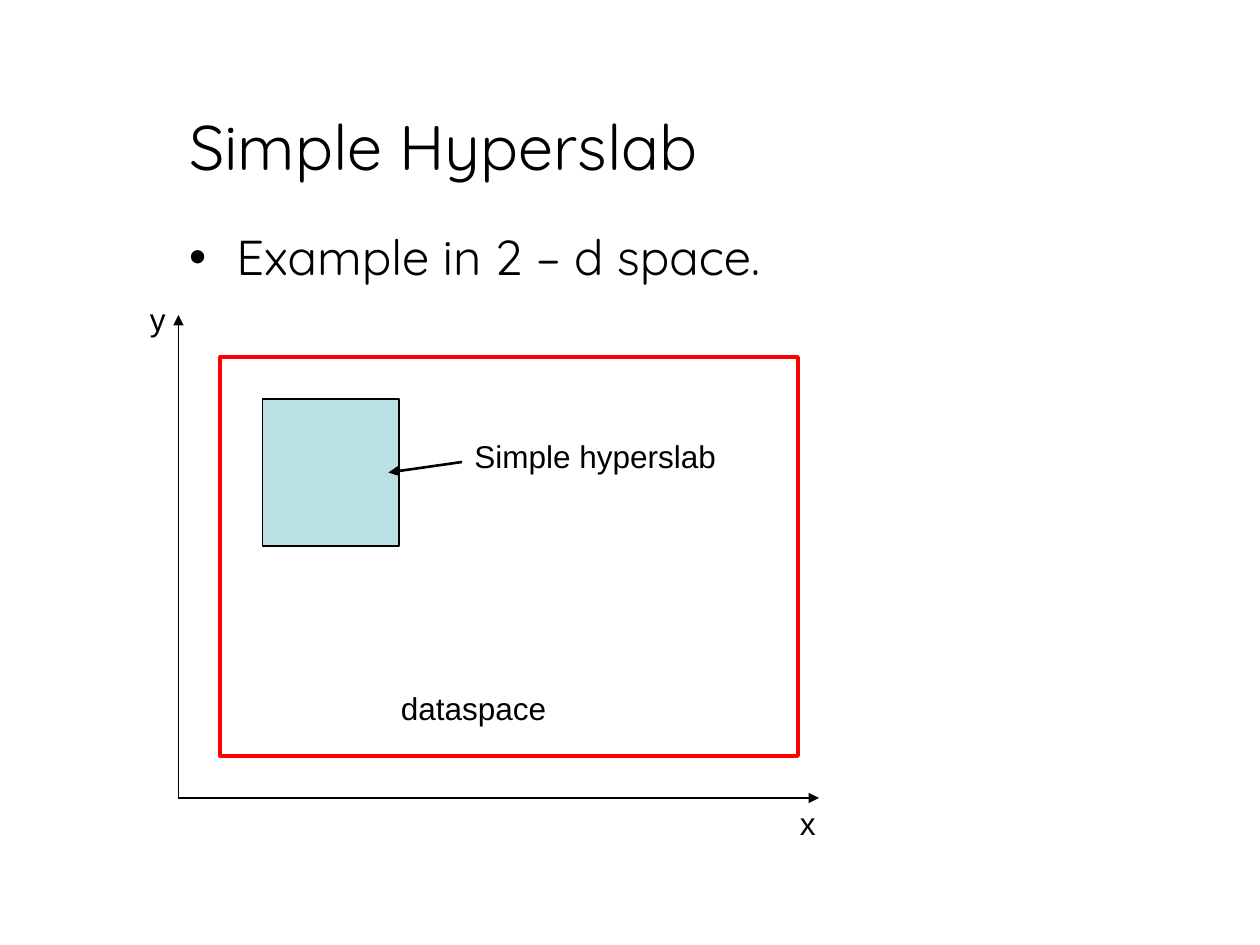
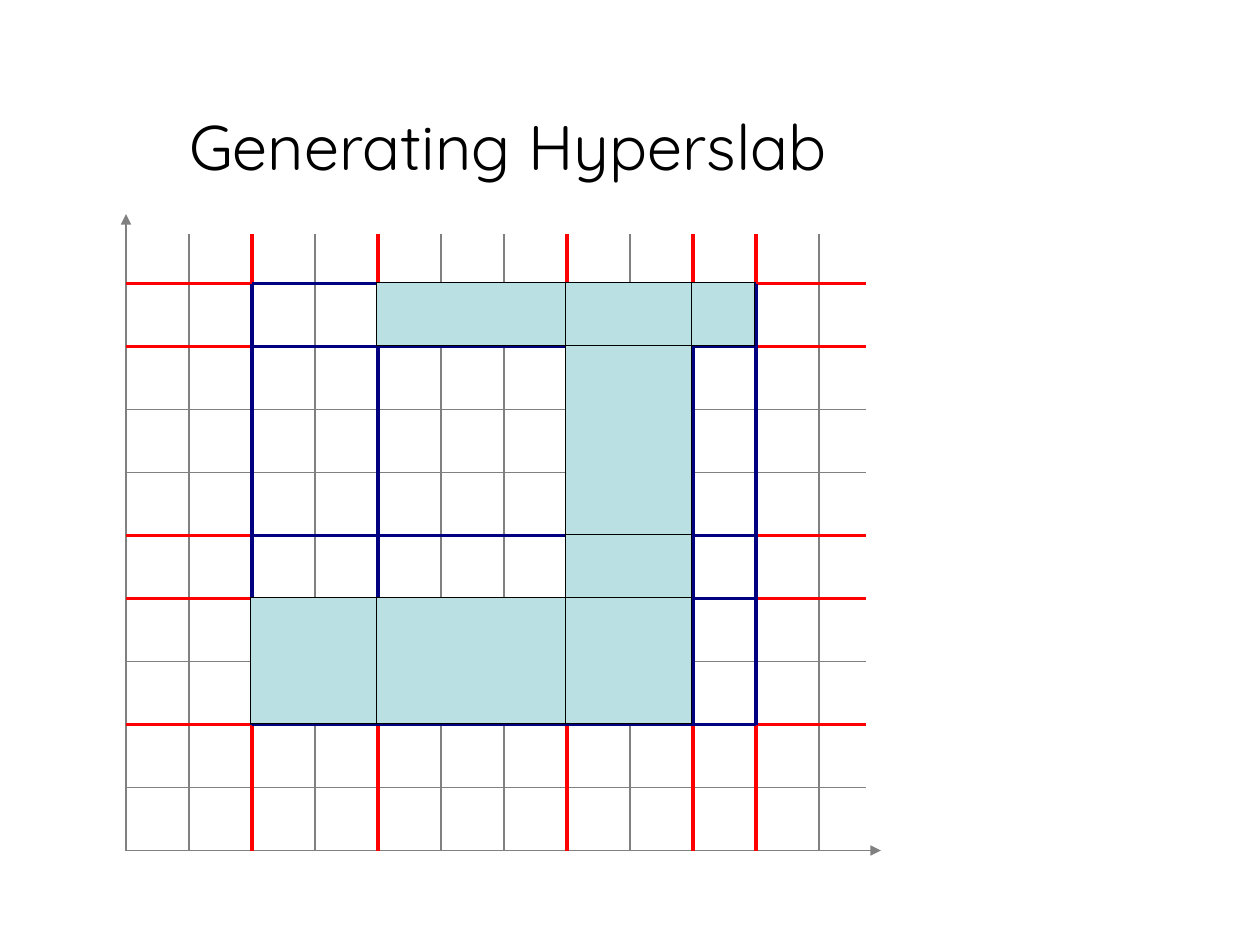
from dataclasses import dataclass
from lxml.etree import SubElement
from pptx import Presentation
from pptx.dml.color import RGBColor as Color
from pptx.enum.shapes import MSO_CONNECTOR as Connector, MSO_SHAPE as Preset
from pptx.enum.text import MSO_ANCHOR as Anchor, MSO_AUTO_SIZE as AutoSize, PP_ALIGN as Align
from pptx.oxml.ns import qn
from pptx.util import Pt


@dataclass(frozen=True)
class Theme:
    black: Color = Color(0, 0, 0)
    white: Color = Color(255, 255, 255)
    gray: Color = Color(128, 128, 128)
    red: Color = Color(255, 0, 0)
    navy: Color = Color(0, 0, 128)
    slab: Color = Color(0xBB, 0xE0, 0xE3)
    heading_font: str = "Quicksand"
    label_font: str = "Arial"
    title_size: float = 36
    body_size: float = 28
    label_size: float = 18
    thin: float = 0.75
    pointer: float = 1.5
    strong: float = 2
    frame: float = 2.25


@dataclass(frozen=True)
class Box:
    left: float
    top: float
    width: float
    height: float

    @property
    def right(self):
        return self.left + self.width

    @property
    def bottom(self):
        return self.top + self.height

    def inner(self, left, top, width, height):
        return Box(self.left + left, self.top + top, width, height)

    def lengths(self):
        return [Pt(value) for value in (self.left, self.top, self.width, self.height)]


THEME = Theme()
TITLE_BOX = Box(100.8, 54, 558, 57.6)
BODY_BOX = Box(100.8, 126, 414, 48.2)
DIAGRAM_BOX = Box(102, 180, 366, 276)
GRID_BOX = Box(72, 122.4, 431.3, 363.6)
CELL = 36
GRID_COLUMNS, GRID_ROWS = 11, 9
CUT_COLUMNS = (2, 4, 7, 9, 10)
CUT_ROWS = (2, 4, 5, 8, 9)
SELECTED_BLOCKS = (
    (2, 4, 2, 2), (7, 8, 2, 3), (7, 4, 2, 2), (7, 9, 2, 1),
    (7, 5, 2, 1), (4, 9, 3, 1), (4, 4, 3, 2), (9, 9, 1, 1),
)


def set_format(target, values):
    for name, value in values.items():
        setattr(target, name, value)


def write_text(shape, text, font, size, wrap=True, anchor=Anchor.TOP, space=0):
    frame = shape.text_frame
    set_format(frame, {
        "word_wrap": wrap, "auto_size": AutoSize.NONE, "vertical_anchor": anchor,
        "margin_left": Pt(7.2), "margin_right": Pt(7.2),
        "margin_top": Pt(3.6), "margin_bottom": Pt(3.6),
    })
    para = frame.paragraphs[0]
    set_format(para, {"alignment": Align.LEFT, "space_before": Pt(space)})
    span = para.add_run()
    span.text = text
    set_format(span.font, {"name": font, "size": Pt(size)})
    span.font.color.rgb = THEME.black


def fill_placeholder(holder, box, text, size, **options):
    places = ("left", "top", "width", "height")
    set_format(holder, dict(zip(places, box.lengths())))
    write_text(holder, text, THEME.heading_font, size, **options)


def add_label(shapes, box, text, wrap=True):
    label = shapes.add_textbox(*box.lengths())
    write_text(label, text, THEME.label_font, THEME.label_size, wrap)


def add_rectangle(shapes, box, fill, color, width):
    rectangle = shapes.add_shape(Preset.RECTANGLE, *box.lengths())
    rectangle.shadow.inherit = False
    rectangle.fill.solid()
    rectangle.fill.fore_color.rgb = fill
    rectangle.line.color.rgb = color
    rectangle.line.width = Pt(width)


def add_line(shapes, start, end, color, width, arrow=False):
    line = shapes.add_connector(Connector.STRAIGHT, *map(Pt, (*start, *end)))
    line.line.color.rgb = color
    line.line.width = Pt(width)
    if arrow:
        SubElement(line.line._get_or_add_ln(), qn("a:tailEnd"), type="triangle")
    SubElement(line._element.spPr, qn("a:effectLst"))


def add_axes(shapes, box, color):
    corner = (box.left, box.bottom)
    for end in ((box.left, box.top), (box.right, box.bottom)):
        add_line(shapes, corner, end, color, THEME.thin, arrow=True)


def add_page(deck, layout, title):
    page = deck.slides.add_slide(deck.slide_layouts[layout])
    fill_placeholder(page.shapes.title, TITLE_BOX, title, THEME.title_size, anchor=Anchor.MIDDLE)
    return page


def draw_dataspace(page, box):
    shapes = page.shapes.add_group_shape().shapes
    add_axes(shapes, box, THEME.black)
    add_label(shapes, box.inner(348, 276, 23, 28.8), "x", wrap=False)
    add_label(shapes, box.inner(-23.5, -12, 23, 28.8), "y", wrap=False)
    add_rectangle(shapes, box.inner(24, 24, 330, 228), THEME.white, THEME.red, THEME.frame)
    add_rectangle(shapes, box.inner(48, 48, 78, 84), THEME.slab, THEME.black, THEME.thin)
    add_label(shapes, box.inner(120, 210, 210, 28.8), "dataspace")
    label = box.inner(162, 66, 162, 28.8)
    add_label(shapes, label, "Simple hyperslab")
    add_line(shapes, (label.left, label.top + 18), (label.left - 42, label.top + 24),
             THEME.black, THEME.pointer, arrow=True)


def draw_grid_lines(shapes, box, columns, rows, x_range, y_range, color, width):
    for row in rows:
        y = box.bottom - row * CELL
        add_line(shapes, (x_range[0], y), (x_range[1], y), color, width)
    for column in columns:
        x = box.left + column * CELL
        add_line(shapes, (x, y_range[0]), (x, y_range[1]), color, width)


def draw_selection_grid(page, box):
    across = (box.left, box.right - 8.7)
    upward = (box.bottom, box.top + 11.5)
    grid = page.shapes.add_group_shape().shapes
    add_axes(grid, box, THEME.gray)
    draw_grid_lines(grid, box, range(1, GRID_COLUMNS + 1), range(1, GRID_ROWS + 1),
                    across, upward, THEME.gray, THEME.thin)
    draw_grid_lines(page.shapes, box, CUT_COLUMNS, CUT_ROWS,
                    across, upward, THEME.red, THEME.strong)
    cut_across = [box.left + CUT_COLUMNS[end] * CELL for end in (0, -1)]
    cut_upward = [box.bottom - CUT_ROWS[end] * CELL for end in (0, -1)]
    draw_grid_lines(page.shapes.add_group_shape().shapes, box, CUT_COLUMNS, CUT_ROWS,
                    cut_across, cut_upward, THEME.navy, THEME.strong)
    nudge = 0.7
    for column, row, wide, high in SELECTED_BLOCKS:
        block = box.inner(column * CELL - nudge, box.height - row * CELL - nudge,
                          wide * CELL, high * CELL)
        add_rectangle(page.shapes, block, THEME.slab, THEME.black, THEME.thin)


def build_simple_page(deck):
    page = add_page(deck, 1, "Simple Hyperslab")
    fill_placeholder(page.placeholders[1], BODY_BOX, "Example in 2 – d space.",
                     THEME.body_size, space=7)
    draw_dataspace(page, DIAGRAM_BOX)


def build_generating_page(deck):
    page = add_page(deck, 5, "Generating Hyperslab")
    draw_selection_grid(page, GRID_BOX)


def main():
    deck = Presentation()
    set_format(deck, {"slide_width": Pt(720), "slide_height": Pt(540)})
    build_simple_page(deck)
    build_generating_page(deck)
    deck.save("out.pptx")


if __name__ == "__main__":
    main()
